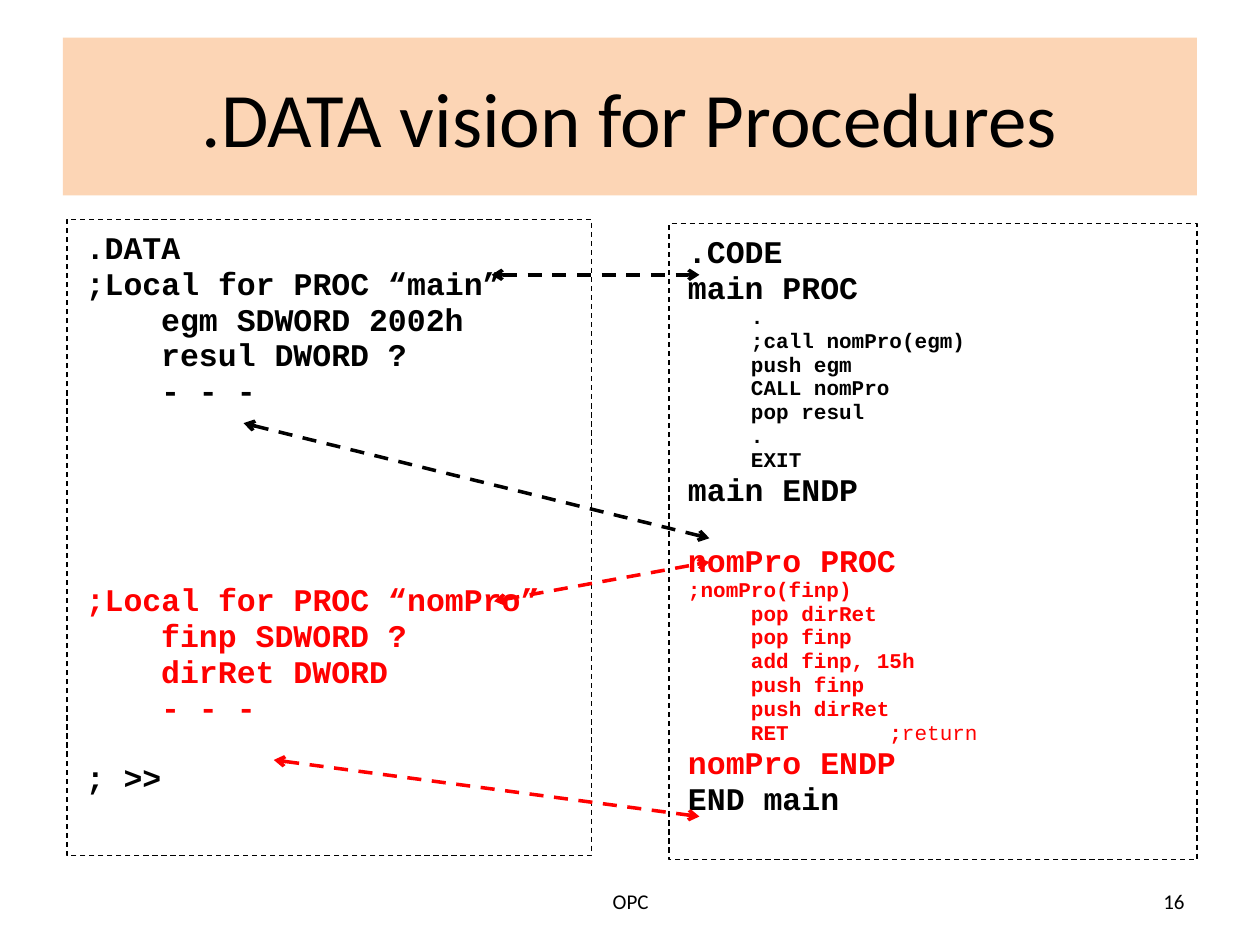
from lxml import etree
from pptx import Presentation
from pptx.dml.color import RGBColor
from pptx.enum.dml import MSO_LINE
from pptx.enum.shapes import MSO_CONNECTOR, MSO_SHAPE
from pptx.enum.text import MSO_ANCHOR, PP_ALIGN
from pptx.oxml.ns import qn
from pptx.util import Cm, Pt

STRAIGHT = MSO_CONNECTOR.STRAIGHT
RECTANGLE = MSO_SHAPE.RECTANGLE
DASH = MSO_LINE.DASH
TOP, MIDDLE = MSO_ANCHOR.TOP, MSO_ANCHOR.MIDDLE
LEFT, CENTER, RIGHT = PP_ALIGN.LEFT, PP_ALIGN.CENTER, PP_ALIGN.RIGHT

BLACK, RED, PEACH = "000000", "FF0000", "FCD5B5"
LARGE, SMALL = 18, 12
LARGE_PITCH = 19.83
BEFORE_RATIO = 0.535
DECLARATION_INDENT, BODY_INDENT, COMMENT_TAB = 1.52, 1.27, 2.79

TITLE_BOX = (1.27, 0.76, 22.86, 3.18)
FOOTER_BOX = (8.69, 17.65, 8.05, 1.02)
NUMBER_BOX = (18.21, 17.65, 5.92, 1.02)
DATA_BOX = (1.35, 4.42, 10.57, 12.83)
CODE_BOX = (13.49, 4.5, 10.64, 12.83)

DATA_BLOCKS = [
    (0, LARGE, BLACK, 0, [".DATA", ";Local for PROC “main”"]),
    (0, LARGE, BLACK, DECLARATION_INDENT,
     ["egm SDWORD 2002h", "resul DWORD ?", "- - -"]),
    (5, LARGE, RED, 0, [";Local for PROC “nomPro”"]),
    (0, LARGE, RED, DECLARATION_INDENT,
     ["finp SDWORD ?", "dirRet DWORD", "- - -"]),
    (1, LARGE, BLACK, 0, ["; >>"]),
]
CODE_BLOCKS = [
    (0, LARGE, BLACK, 0, [".CODE", "main PROC"]),
    (0, SMALL, BLACK, BODY_INDENT,
     [".", ";call nomPro(egm)", "push egm", "CALL nomPro", "pop resul", ".", "EXIT"]),
    (0, LARGE, BLACK, 0, ["main ENDP"]),
    (1, LARGE, RED, 0, ["nomPro PROC"]),
    (0, SMALL, RED, 0, [";nomPro(finp)"]),
    (0, SMALL, RED, BODY_INDENT,
     ["pop dirRet", "pop finp", "add finp, 15h", "push finp", "push dirRet",
      ("RET\t;", "return")]),
    (0, LARGE, RED, 0, ["nomPro ENDP"]),
    (0, LARGE, BLACK, 0, ["END main"]),
]
LINKS = [
    ((8.56, 1.12), (0.61, 1.04), BLACK),
    ((3.56, 4.11), (0.81, 6.35), BLACK),
    ((8.61, 7.7), (0.81, 6.83), RED),
    ((4.17, 10.9), (0.61, 11.96), RED),
]


def color(value):
    return RGBColor.from_string(value)


def add_run(paragraph, text, size, font_name, ink, bold=False):
    run = paragraph.add_run()
    run.text = text
    run.font.size = Pt(size)
    run.font.name = font_name
    run.font.bold = bold
    run.font.color.rgb = color(ink)


def add_box(slide, box):
    panel = slide.shapes.add_shape(RECTANGLE, *map(Cm, box))
    panel.shadow.inherit = False
    panel.fill.background()
    panel.line.fill.background()
    panel.text_frame.word_wrap = True
    return panel


def add_title(slide, box, text):
    banner = add_box(slide, box)
    banner.fill.solid()
    banner.fill.fore_color.rgb = color(PEACH)
    banner.text_frame.vertical_anchor = MIDDLE
    heading = banner.text_frame.paragraphs[0]
    heading.alignment = CENTER
    add_run(heading, text, 44, "Calibri", BLACK)


def add_footer(slide, box, text, alignment):
    frame = slide.shapes.add_textbox(*map(Cm, box)).text_frame
    frame.word_wrap = True
    frame.vertical_anchor = MIDDLE
    frame.paragraphs[0].alignment = alignment
    add_run(frame.paragraphs[0], text, 12, "Calibri", BLACK)


def add_tab_stop(paragraph, position):
    stops = etree.SubElement(paragraph._p.get_or_add_pPr(), qn("a:tabLst"))
    etree.SubElement(stops, qn("a:tab"), pos=str(Cm(position)), algn="l")


def add_listing(slide, box, blocks):
    panel = add_box(slide, box)
    panel.line.color.rgb = color(BLACK)
    panel.line.width = Pt(0.75)
    panel.line.dash_style = DASH
    frame = panel.text_frame
    frame.vertical_anchor = TOP
    frame.margin_left = frame.margin_right = Cm(0.38)
    frame.margin_top = frame.margin_bottom = Cm(0.51)
    paragraph = frame.paragraphs[0]
    for skipped, size, ink, indent, lines in blocks:
        for line in lines:
            if paragraph.runs:
                paragraph = frame.add_paragraph()
            paragraph.alignment = LEFT
            paragraph.line_spacing = 0.5
            paragraph.space_before = Pt(size * BEFORE_RATIO + skipped * LARGE_PITCH)
            paragraph._p.get_or_add_pPr().set("marL", str(Cm(indent)))
            code, comment = line if isinstance(line, tuple) else (line, "")
            add_run(paragraph, code, size, "Courier New", ink, True)
            if comment:
                add_tab_stop(paragraph, COMMENT_TAB)
                add_run(paragraph, comment, size, "Courier New", ink)


def add_link(slide, data_box, code_box, start, end, ink):
    ends = [box[axis] + point[axis]
            for box, point in ((data_box, start), (code_box, end))
            for axis in (0, 1)]
    link = slide.shapes.add_connector(STRAIGHT, *map(Cm, ends))
    link.line.color.rgb = color(ink)
    link.line.width = Pt(2)
    link.line.dash_style = DASH
    properties = link._element.spPr
    outline = properties.find(qn("a:ln"))
    for tip in ("a:headEnd", "a:tailEnd"):
        etree.SubElement(outline, qn(tip), type="arrow")
    etree.SubElement(properties, qn("a:effectLst"))


def main():
    deck = Presentation()
    deck.slide_width, deck.slide_height = Cm(25.4), Cm(19.05)
    slide = deck.slides.add_slide(deck.slide_layouts[6])
    add_title(slide, TITLE_BOX, ".DATA vision for Procedures")
    add_footer(slide, FOOTER_BOX, "OPC", CENTER)
    add_footer(slide, NUMBER_BOX, "16", RIGHT)
    add_listing(slide, DATA_BOX, DATA_BLOCKS)
    add_listing(slide, CODE_BOX, CODE_BLOCKS)
    for start, end, ink in LINKS:
        add_link(slide, DATA_BOX, CODE_BOX, start, end, ink)
    deck.save("out.pptx")


if __name__ == "__main__":
    main()
